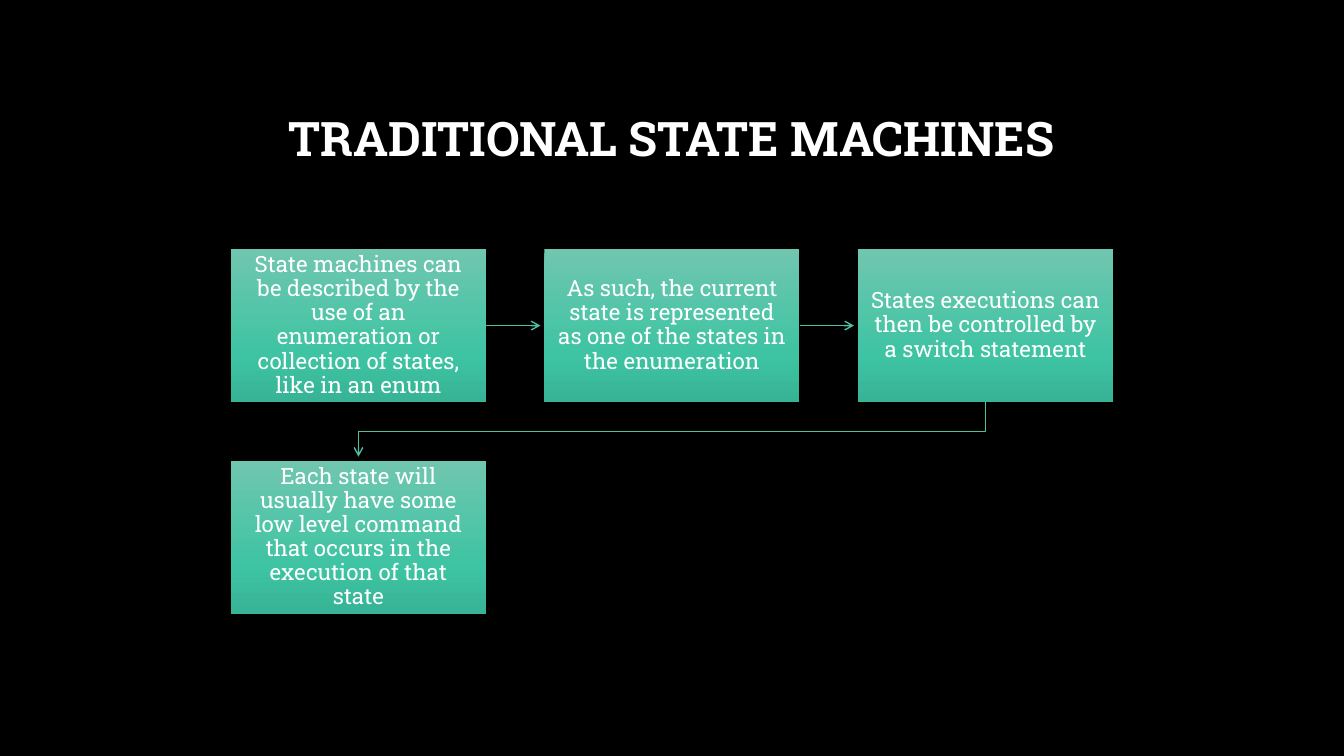
from copy import deepcopy

from lxml import etree
from pptx import Presentation
from pptx.dml.color import RGBColor
from pptx.enum.shapes import MSO_CONNECTOR, MSO_SHAPE
from pptx.enum.text import MSO_ANCHOR, PP_ALIGN
from pptx.oxml.ns import qn
from pptx.util import Inches, Pt

STRAIGHT = MSO_CONNECTOR.STRAIGHT
RECTANGLE = MSO_SHAPE.RECTANGLE
MIDDLE = MSO_ANCHOR.MIDDLE
CENTER = PP_ALIGN.CENTER
RIGHT_SIDE = 3

BLACK = RGBColor(0x00, 0x00, 0x00)
WHITE = RGBColor(0xFF, 0xFF, 0xFF)
ARROW_GREEN = RGBColor(0x50, 0xBE, 0xA3)
STEP_GRADIENT = [
    (0, RGBColor(0x70, 0xC6, 0xAF)),
    (0.69, RGBColor(0x3E, 0xC4, 0xA3)),
    (1, RGBColor(0x37, 0xB3, 0x95)),
]

# Grid of steps
LEFT, TOP = 2.29, 2.47
STEP_W, STEP_H = 2.53, 1.52
PITCH_X, PITCH_Y = 3.11, 2.1
COLUMNS = 3
ARROW_GAP = 0.04

STEPS = [
    "State machines can be described by the use of an enumeration "
    "or collection of states, like in an enum",
    "As such, the current state is represented as one of the states "
    "in the enumeration",
    "States executions can then be controlled by a switch statement",
    "Each state will usually have some low level command that occurs "
    "in the execution of that state",
]


class FlowSlide:
    font = "Roboto Slab"

    def __init__(self, slide):
        self.slide = slide
        slide.background.fill.solid()
        slide.background.fill.fore_color.rgb = BLACK

    def add_text(self, shape, text, size, bold=False):
        frame = shape.text_frame
        frame.word_wrap = True
        frame.vertical_anchor = MIDDLE
        paragraph = frame.paragraphs[0]
        paragraph.alignment = CENTER
        paragraph.line_spacing = 0.9
        run = paragraph.add_run()
        run.text = text
        run.font.name = self.font
        run.font.size = Pt(size)
        run.font.bold = bold
        run.font.color.rgb = WHITE

    def title(self, text, left, top, width, height):
        heading = self.slide.shapes.add_textbox(
            Inches(left), Inches(top), Inches(width), Inches(height))
        self.add_text(heading, text, 34, bold=True)

    def step(self, text, left, top):
        box = self.slide.shapes.add_shape(
            RECTANGLE, Inches(left), Inches(top), Inches(STEP_W), Inches(STEP_H))
        box.shadow.inherit = False
        box.line.fill.background()
        box.fill.gradient()
        box.fill.gradient_angle = 270
        # The default gradient has two stops; a third is needed
        stop_list = box._element.spPr.find(qn("a:gradFill")).find(qn("a:gsLst"))
        stop_list.append(deepcopy(stop_list[-1]))
        for stop, (position, color) in zip(box.fill.gradient_stops, STEP_GRADIENT):
            stop.position = position
            stop.color.rgb = color
        frame = box.text_frame
        frame.margin_left = frame.margin_right = Inches(0.12)
        frame.margin_top = frame.margin_bottom = Inches(0.13)
        self.add_text(box, text, 16)
        return box

    def style_arrow(self, arrow):
        arrow.line.color.rgb = ARROW_GREEN
        arrow.line.width = Pt(1)
        properties = arrow._element.spPr
        etree.SubElement(properties.find(qn("a:ln")), qn("a:tailEnd"), type="arrow")
        etree.SubElement(properties, qn("a:effectLst"))

    def arrow_to_next(self, source, target):
        y = source.top + source.height // 2
        arrow = self.slide.shapes.add_connector(
            STRAIGHT, source.left + source.width, y,
            target.left - Inches(ARROW_GAP), y)
        arrow.begin_connect(source, RIGHT_SIDE)
        self.style_arrow(arrow)

    def arrow_to_next_row(self, source, target):
        start_x = source.left + source.width // 2
        end_x = target.left + target.width // 2
        start_y = source.top + source.height
        turn_y = (start_y + target.top) // 2
        outline = self.slide.shapes.build_freeform(start_x, start_y)
        outline.add_line_segments(
            [(start_x, turn_y), (end_x, turn_y),
             (end_x, target.top - Inches(ARROW_GAP))], close=False)
        arrow = outline.convert_to_shape()
        arrow.fill.background()
        self.style_arrow(arrow)


def main():
    deck = Presentation()
    deck.slide_width, deck.slide_height = Inches(13.33), Inches(7.5)
    flow = FlowSlide(deck.slides.add_slide(deck.slide_layouts[6]))

    flow.title("TRADITIONAL STATE MACHINES", 1, 0.67, 11.32, 1.45)

    # Steps, row by row
    boxes = []
    for index, text in enumerate(STEPS):
        row, column = divmod(index, COLUMNS)
        boxes.append(flow.step(text, LEFT + column * PITCH_X, TOP + row * PITCH_Y))

    # Arrows between successive steps
    for source, target in zip(boxes, boxes[1:]):
        if source.top == target.top:
            flow.arrow_to_next(source, target)
        else:
            flow.arrow_to_next_row(source, target)

    deck.save("out.pptx")


if __name__ == "__main__":
    main()
